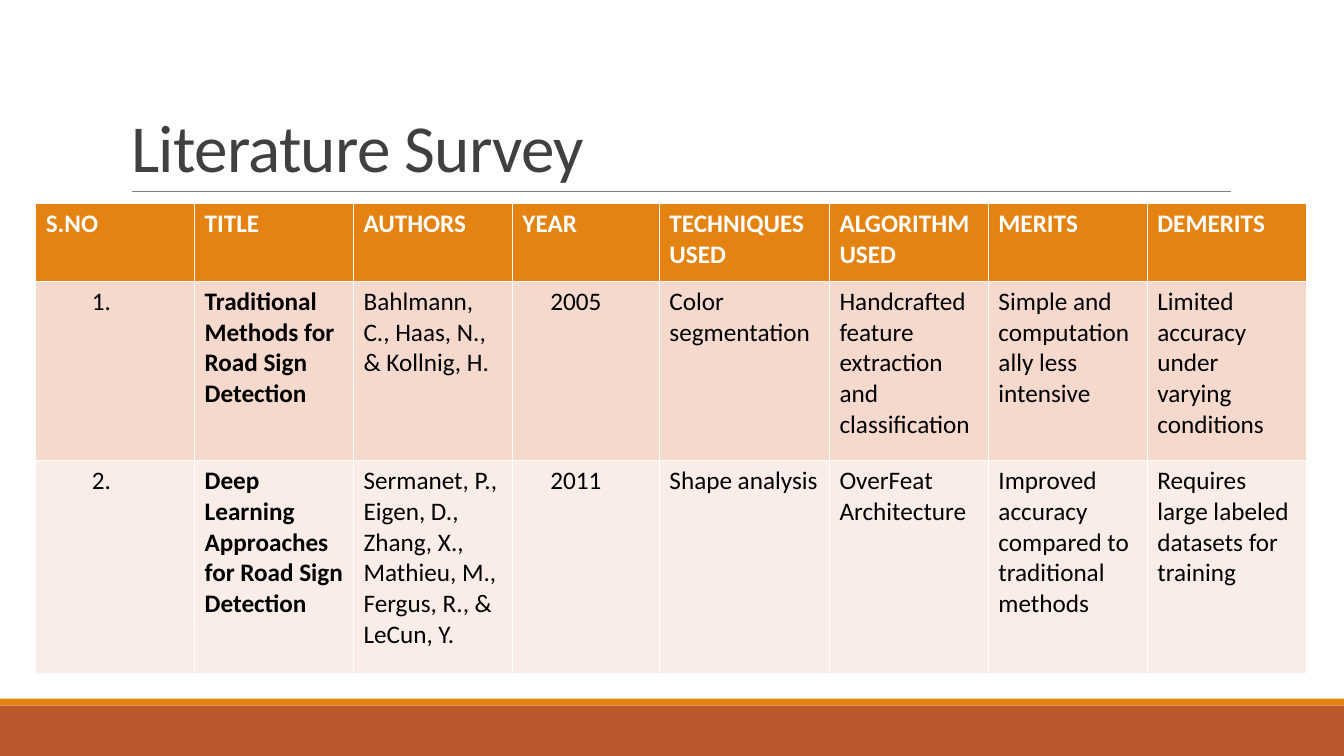
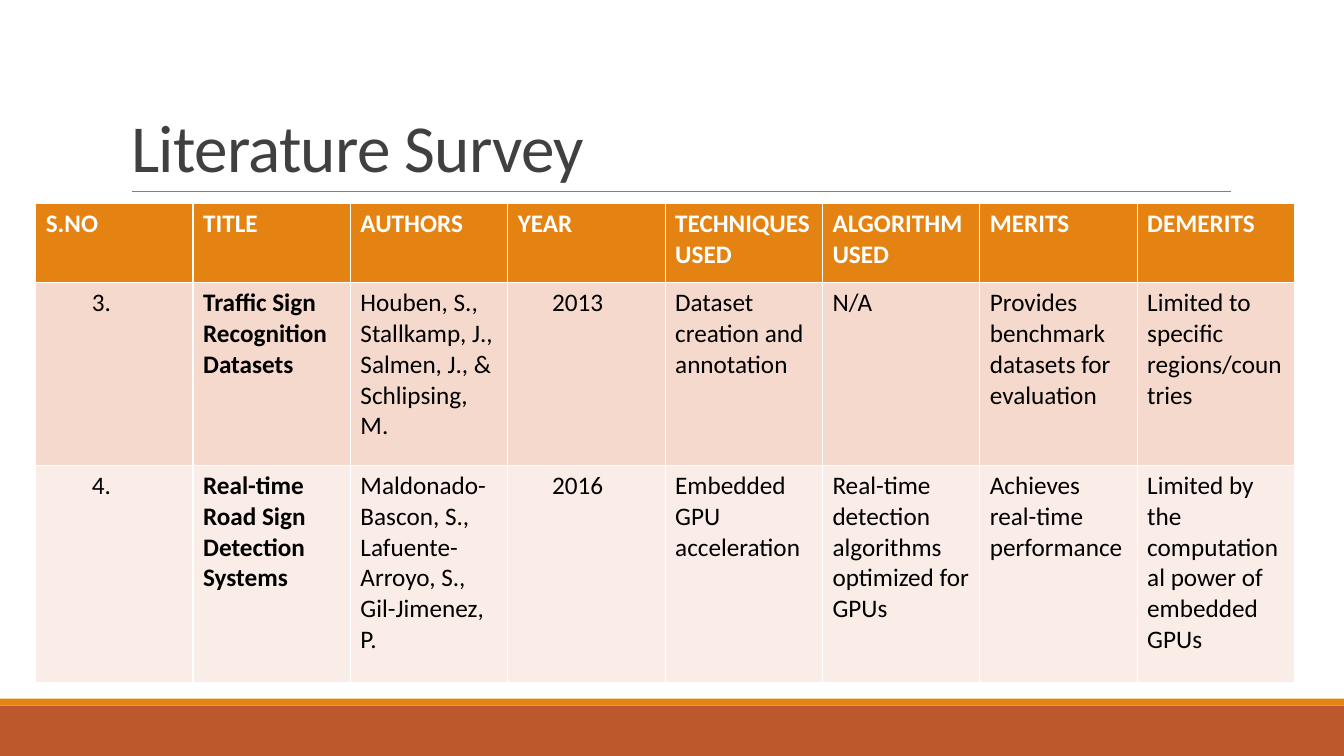
from dataclasses import dataclass

from lxml.etree import SubElement
from pptx import Presentation
from pptx.dml.color import RGBColor
from pptx.enum.shapes import MSO_CONNECTOR as Connector
from pptx.enum.shapes import MSO_SHAPE as Shape
from pptx.enum.text import MSO_ANCHOR as Anchor
from pptx.enum.text import MSO_AUTO_SIZE as AutoSize
from pptx.enum.text import PP_ALIGN as Align
from pptx.oxml.ns import qn
from pptx.slide import Slide
from pptx.table import _Cell as Cell
from pptx.util import Pt

COLORS = {
    "rust": "BD582C",
    "orange": "E48312",
    "rule": "808080",
    "title": "404040",
    "white": "FFFFFF",
    "black": "000000",
    "row_dark": "F5D9CC",
    "row_light": "FAEDE7",
}
FONT = "Calibri"
SLIDE_WIDTH, SLIDE_HEIGHT = 960, 540
TABLE_LEFT, TABLE_TOP = 25.5, 145.5
CELL_MARGIN = 7.2
NUMBER_INDENT = 33
TITLE_ONLY = 5
NUMBER_COLUMN, TITLE_COLUMN, YEAR_COLUMN = 0, 1, 3
HEADINGS = ("S.NO", "TITLE", "AUTHORS", "YEAR", "TECHNIQUES\nUSED",
            "ALGORITHM\nUSED", "MERITS", "DEMERITS")


@dataclass(frozen=True)
class Band:
    top: float
    height: float
    color: str


@dataclass(frozen=True)
class Paper:
    number: str
    title: str
    authors: str
    year: str
    techniques: str
    algorithm: str
    merits: str
    demerits: str

    def texts(self) -> tuple[str, ...]:
        return (self.number, self.title, self.authors, self.year,
                self.techniques, self.algorithm, self.merits, self.demerits)


@dataclass(frozen=True)
class Survey:
    column_widths: tuple[float, ...]
    row_heights: tuple[float, ...]
    year_indent: float
    papers: tuple[Paper, ...]


FOOTER_BANDS = (Band(504, 36, "rust"), Band(499, 5, "orange"))

SURVEYS = (
    Survey(
        (113.5, 113.5, 113.5, 105, 121.5, 113.5, 113.5, 113.5),
        (55.5, 128, 152.5),
        20,
        (
            Paper("1.", "Traditional Methods for Road Sign Detection",
                  "Bahlmann, C., Haas, N., & Kollnig, H.", "2005",
                  "Color segmentation",
                  "Handcrafted feature extraction and classification",
                  "Simple and computationally less intensive",
                  "Limited accuracy under varying conditions"),
            Paper("2.", "Deep Learning Approaches for Road Sign Detection",
                  "Sermanet, P., Eigen, D., Zhang, X., Mathieu, M., "
                  "Fergus, R., & LeCun, Y.", "2011",
                  "Shape analysis", "OverFeat Architecture",
                  "Improved accuracy compared to traditional methods",
                  "Requires large labeled datasets for training"),
        ),
    ),
    Survey(
        (112.4,) * len(HEADINGS),
        (56.5, 130.5, 155),
        24.5,
        (
            Paper("3.", "Traffic Sign Recognition Datasets",
                  "Houben, S., Stallkamp, J., Salmen, J., & Schlipsing, M.",
                  "2013", "Dataset creation and annotation", "N/A",
                  "Provides benchmark datasets for evaluation",
                  "Limited to specific regions/countries"),
            Paper("4.", "Real-time Road Sign Detection Systems",
                  "Maldonado-Bascon, S., Lafuente-Arroyo, S., "
                  "Gil-Jimenez, P.", "2016",
                  "Embedded GPU acceleration",
                  "Real-time detection algorithms optimized for GPUs",
                  "Achieves real-time performance",
                  "Limited by the computational power of embedded GPUs"),
        ),
    ),
)


def rgb(color: str) -> RGBColor:
    return RGBColor.from_string(COLORS[color])


def add_footer_bands(slide: Slide) -> None:
    for band in FOOTER_BANDS:
        strip = slide.shapes.add_shape(
            Shape.RECTANGLE, 0, Pt(band.top), Pt(SLIDE_WIDTH), Pt(band.height))
        strip.shadow.inherit = False
        strip.fill.solid()
        strip.fill.fore_color.rgb = rgb(band.color)
        strip.line.fill.background()


def add_title_rule(slide: Slide) -> None:
    rule = slide.shapes.add_connector(
        Connector.STRAIGHT, Pt(94.3), Pt(136.8), Pt(879), Pt(136.8))
    rule.line.color.rgb = rgb("rule")
    rule.line.width = Pt(0.5)
    SubElement(rule._element.spPr, qn("a:effectLst"))


def set_title(slide: Slide, text: str) -> None:
    title = slide.shapes.title
    title.left, title.top = Pt(86.4), Pt(22.5)
    title.width, title.height = Pt(792), Pt(114.3)
    frame = title.text_frame
    frame.text = text
    frame.auto_size = AutoSize.NONE
    frame.vertical_anchor = Anchor.BOTTOM
    heading = frame.paragraphs[0]
    heading.alignment = Align.LEFT
    heading.line_spacing = 0.85
    heading.font.name = FONT
    heading.font.size = Pt(48)
    heading.font.color.rgb = rgb("title")
    heading.runs[0].font._element.set("spc", "-50")


def fill_cell(cell: Cell, text: str, fill: str, color: str, bold: bool,
              indent: float = 0) -> None:
    cell.text = text
    cell.margin_left = Pt(CELL_MARGIN + indent)
    cell.fill.solid()
    cell.fill.fore_color.rgb = rgb(fill)
    for paragraph in cell.text_frame.paragraphs:
        paragraph.font.name = FONT
        paragraph.font.size = Pt(18)
        paragraph.font.bold = bold
        paragraph.font.color.rgb = rgb(color)


def add_survey_table(slide: Slide, survey: Survey) -> None:
    """Add the table; its default style draws the white cell borders."""
    table = slide.shapes.add_table(
        len(survey.row_heights), len(HEADINGS), Pt(TABLE_LEFT), Pt(TABLE_TOP),
        Pt(sum(survey.column_widths)), Pt(sum(survey.row_heights))).table
    for column, width in zip(table.columns, survey.column_widths):
        column.width = Pt(width)
    for row, height in zip(table.rows, survey.row_heights):
        row.height = Pt(height)

    for column, heading in enumerate(HEADINGS):
        fill_cell(table.cell(0, column), heading, "orange", "white", True)

    indents = {NUMBER_COLUMN: NUMBER_INDENT, YEAR_COLUMN: survey.year_indent}
    for row, paper in enumerate(survey.papers, start=1):
        fill = "row_dark" if row % 2 else "row_light"
        for column, text in enumerate(paper.texts()):
            fill_cell(table.cell(row, column), text, fill, "black",
                      column == TITLE_COLUMN, indents.get(column, 0))


def main() -> None:
    deck = Presentation()
    deck.slide_width, deck.slide_height = Pt(SLIDE_WIDTH), Pt(SLIDE_HEIGHT)
    for survey in SURVEYS:
        slide = deck.slides.add_slide(deck.slide_layouts[TITLE_ONLY])
        add_footer_bands(slide)
        add_title_rule(slide)
        set_title(slide, "Literature Survey")
        add_survey_table(slide, survey)
    deck.save("out.pptx")


if __name__ == "__main__":
    main()
